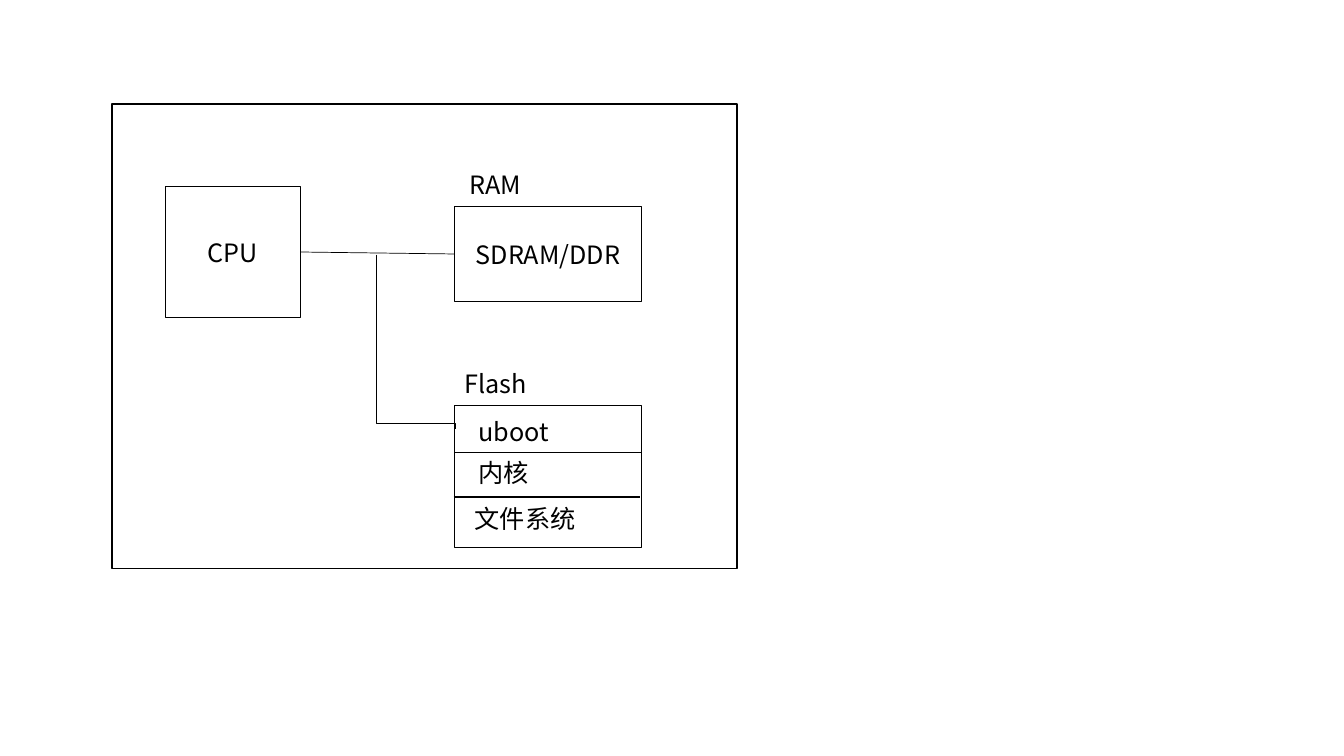
from lxml.etree import SubElement
from pptx import Presentation
from pptx.dml.color import RGBColor
from pptx.enum.shapes import MSO_CONNECTOR as CONN, MSO_SHAPE as SHAPE
from pptx.enum.text import MSO_ANCHOR as ANCHOR, MSO_AUTO_SIZE as AUTO, PP_ALIGN as ALIGN
from pptx.oxml.ns import qn
from pptx.util import Inches, Pt

BLACK = RGBColor(0, 0, 0)
WHITE = RGBColor(255, 255, 255)
FONT = "Noto Sans CJK SC"


def write(p, text):
    r = p.add_run()
    r.text = text
    r.font.size = Pt(18)
    r.font.name = FONT
    r.font.color.rgb = BLACK
    SubElement(r._r.get_or_add_rPr(), qn("a:ea")).set("typeface", FONT)


def add_box(s, x, y, w, h, text=None):
    sp = s.shapes.add_shape(SHAPE.RECTANGLE, Inches(x), Inches(y), Inches(w), Inches(h))
    sp.shadow.inherit = False
    sp.fill.solid()
    sp.fill.fore_color.rgb = WHITE
    sp.line.color.rgb = BLACK
    sp.line.width = Pt(1)
    if text:
        tf = sp.text_frame
        tf.vertical_anchor = ANCHOR.MIDDLE
        p = tf.paragraphs[0]
        p.alignment = ALIGN.CENTER
        write(p, text)
    return sp


def add_label(s, x, y, w, h, text):
    sp = s.shapes.add_textbox(Inches(x), Inches(y), Inches(w), Inches(h))
    tf = sp.text_frame
    tf.word_wrap = True
    tf.auto_size = AUTO.SHAPE_TO_FIT_TEXT
    write(tf.paragraphs[0], text)


def add_line(s, x1, y1, x2, y2, width, kind=CONN.STRAIGHT):
    c = s.shapes.add_connector(kind, Inches(x1), Inches(y1), Inches(x2), Inches(y2))
    c.line.color.rgb = BLACK
    c.line.width = Pt(width)
    SubElement(c._element.spPr, qn("a:effectLst"))
    return c


def add_flash_branch(s):
    c = add_line(s, 4.99, 3, 3.26, 3.78, 0.5, CONN.ELBOW)
    spPr = c._element.spPr
    spPr.find(qn("a:xfrm")).set("rot", str(270 * 60000))
    gd = SubElement(spPr.find(qn("a:prstGeom")).find(qn("a:avLst")), qn("a:gd"))
    gd.set("name", "adj1")
    gd.set("fmla", "val 96600")


def main():
    prs = Presentation()
    prs.slide_width = Inches(13.33)
    prs.slide_height = Inches(7.5)
    s = prs.slides.add_slide(prs.slide_layouts[6])

    add_box(s, 1.11, 1.03, 6.2, 4.61)
    cpu = add_box(s, 1.64, 1.85, 1.34, 1.3, "CPU")
    ram = add_box(s, 4.51, 2.05, 1.85, 0.94, "SDRAM/DDR")
    add_box(s, 4.51, 4.02, 1.85, 1.41)

    for x, y, text in [(4.56, 1.63, "RAM"), (4.51, 3.61, "Flash")]:
        add_label(s, x, y, 1.76, 0.4, text)
    for x, y, text in [(4.65, 4.08, "uboot"), (4.65, 4.49, "内核"), (4.61, 4.94, "文件系统")]:
        add_label(s, x, y, 1.54, 0.42, text)

    for x, y in [(4.51, 4.49), (4.5, 4.93)]:
        add_line(s, x, y, x + 1.85, y, 1)
    bus = add_line(s, 2.98, 2.5, 4.51, 2.52, 0.5)
    bus.begin_connect(cpu, 3)
    bus.end_connect(ram, 1)
    add_flash_branch(s)

    prs.save("out.pptx")


if __name__ == "__main__":
    main()
